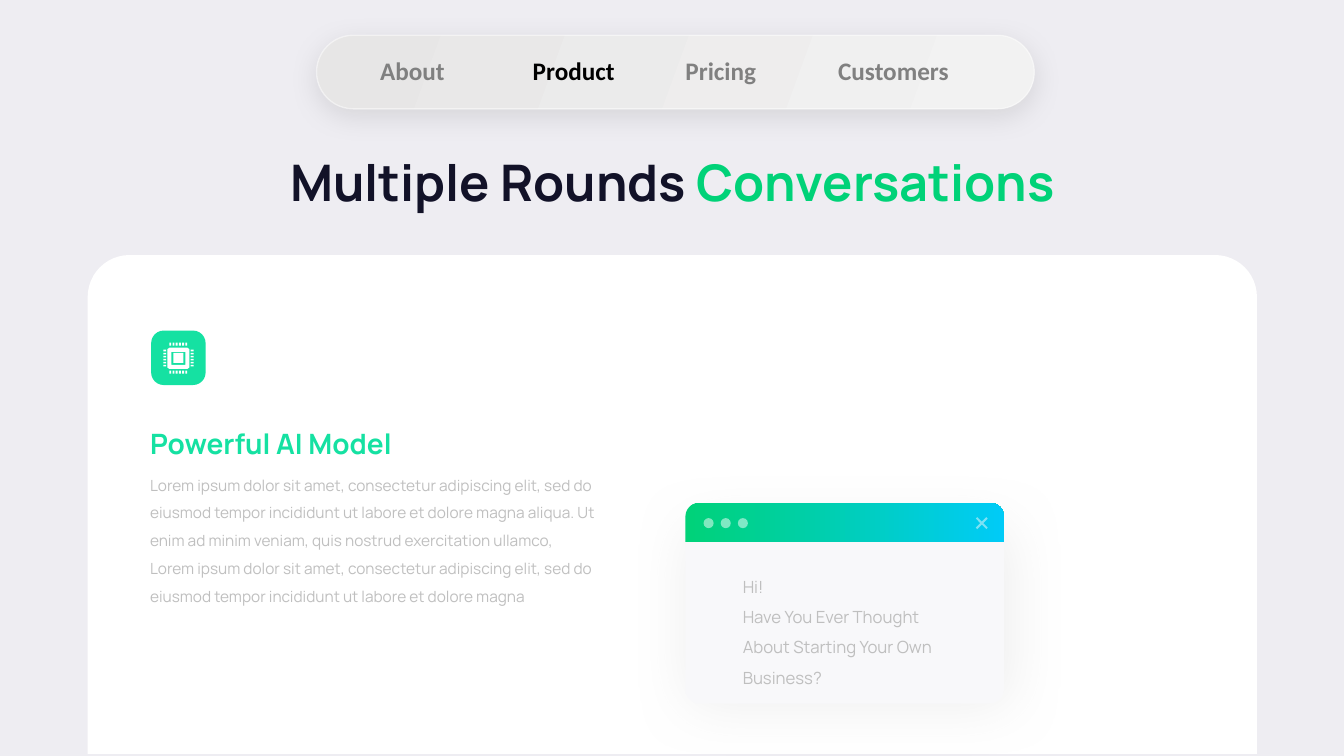
from lxml.etree import SubElement
from pptx import Presentation
from pptx.dml.color import RGBColor
from pptx.enum.shapes import MSO_SHAPE
from pptx.enum.text import MSO_ANCHOR, MSO_AUTO_SIZE, PP_ALIGN
from pptx.oxml.ns import qn
from pptx.util import Inches, Pt

COLS, ROWS = 133.33, 75
BODY, HEAD = "Manrope", "Calibri"
GREEN, MINT, CYAN = "00D278", "15E1A2", "00CBF7"
WHITE, GREY, NAVY = "FFFFFF", "BFBFBF", "121228"
NO_GRID = "{2D5ABB26-0587-4C30-8999-92F81FD0307C}"


def rgb(value):
    """Turn a hex string into a colour."""
    return RGBColor.from_string(value)


def fade(element, percent):
    """Set the opacity of every plain colour inside an element."""
    for clr in element.iter(qn("a:srgbClr")):
        SubElement(clr, qn("a:alpha"), val=str(percent * 1000))


class Deck:
    """Hold the grid, the current slide and the shapes being filled."""

    def __init__(self):
        """Open a presentation with one title-only slide."""
        self.prs = Presentation()
        self.prs.slide_width, self.prs.slide_height = Inches(13.333), Inches(7.5)
        self.s = self.prs.slides.add_slide(self.prs.slide_layouts[5])
        self.shapes = self.s.shapes

    def x(self, cols):
        """Convert grid columns to a length."""
        return round(self.prs.slide_width * cols / COLS)

    def y(self, rows):
        """Convert grid rows to a length."""
        return round(self.prs.slide_height * rows / ROWS)

    def box(self, left, top, width, height):
        """Convert a grid box to lengths."""
        return self.x(left), self.y(top), self.x(width), self.y(height)

    def background(self, color):
        """Fill the slide background."""
        fill = self.s.background.fill
        fill.solid()
        fill.fore_color.rgb = rgb(color)

    def group(self):
        """Send the following elements to a new group."""
        self.shapes = self.s.shapes.add_group_shape().shapes

    def ungroup(self):
        """Send the following elements to the slide."""
        self.shapes = self.s.shapes

    def paint(self, sp, colors, angle=0):
        """Give a shape a plain or gradient fill, no line and no shadow."""
        sp.shadow.inherit = False
        sp.line.fill.background()
        if len(colors) == 1:
            sp.fill.solid()
            sp.fill.fore_color.rgb = rgb(colors[0])
        else:
            sp.fill.gradient()
            sp.fill.gradient_angle = angle
            for stop, color in zip(sp.fill.gradient_stops, colors):
                stop.color.rgb = rgb(color)

    def shape(self, kind, at, *colors, adj=(), angle=0, opacity=None):
        """Add a preset shape."""
        sp = self.shapes.add_shape(kind, *self.box(*at))
        for i, value in enumerate(adj):
            sp.adjustments[i] = value
        self.paint(sp, colors, angle)
        if opacity:
            fade(sp._element.spPr, opacity)
        return sp

    def outline(self, sp, color, width, opacity):
        """Add a translucent line around a shape."""
        sp.line.color.rgb = rgb(color)
        sp.line.width = Pt(width)
        fade(sp._element.spPr.find(qn("a:ln")), opacity)

    def shadow(self, sp, color, opacity, blur, dist, angle):
        """Add a soft outer shadow to a shape."""
        effects = sp._element.spPr.find(qn("a:effectLst"))
        outer = SubElement(effects, qn("a:outerShdw"), blurRad=str(Pt(blur)),
                           dist=str(Pt(dist)), dir=str(angle * 60000),
                           algn="ctr", rotWithShape="0")
        SubElement(outer, qn("a:srgbClr"), val=color)
        fade(outer, opacity)

    def freeform(self, outlines, color):
        """Add one shape made of several closed outlines."""
        paths = [[(self.x(c), self.y(r)) for c, r in o] for o in outlines]
        builder = self.shapes.build_freeform(*paths[0][0], scale=1.0)
        for i, points in enumerate(paths):
            if i:
                builder.move_to(*points[0])
            builder.add_line_segments(points[1:], close=True)
        self.paint(builder.convert_to_shape(), [color])

    def style(self, p, font, size, color=None, bold=False):
        """Format the font of a paragraph."""
        p.font.name, p.font.size, p.font.bold = font, Pt(size), bold
        if color:
            p.font.color.rgb = rgb(color)

    def text(self, at, lines, size, color, bold=False, spacing=1.0):
        """Add a text box with one paragraph per line."""
        tf = self.shapes.add_textbox(*self.box(*at)).text_frame
        tf.word_wrap = True
        tf.auto_size = MSO_AUTO_SIZE.SHAPE_TO_FIT_TEXT
        for i, line in enumerate(lines):
            p = tf.add_paragraph() if i else tf.paragraphs[0]
            p.text, p.line_spacing = line, spacing
            self.style(p, BODY, size, color, bold)

    def title(self, at, runs, size):
        """Place the title and colour each of its runs."""
        sp = self.s.shapes.title
        sp.left, sp.top, sp.width, sp.height = self.box(*at)
        tf = sp.text_frame
        tf.word_wrap, tf.auto_size = True, MSO_AUTO_SIZE.NONE
        tf.vertical_anchor = MSO_ANCHOR.TOP
        p = tf.paragraphs[0]
        p.alignment, p.line_spacing = PP_ALIGN.CENTER, 1.0
        self.style(p, BODY, size, bold=True)
        for text, color in runs:
            r = p.add_run()
            r.text, r.font.color.rgb = text, rgb(color)

    def menu(self, at, items, active):
        """Add a one-row table of menu items."""
        table = self.shapes.add_table(1, len(items), *self.box(*at)).table
        table.first_row = table.horz_banding = False
        table._tbl.tblPr.find(qn("a:tableStyleId")).text = NO_GRID
        for cell, item in zip(table.rows[0].cells, items):
            cell.fill.background()
            cell.text = item
            color = "000000" if item == active else "808080"
            self.style(cell.text_frame.paragraphs[0], HEAD, 18, color, True)


def rect(left, top, width, height):
    """List the corners of a rectangle."""
    right, bottom = left + width, top + height
    return [(left, top), (right, top), (right, bottom), (left, bottom)]


def chip():
    """List the outlines of a processor with six pins on each side."""
    pins = [rect(16.8 + 0.32 * i, top, 0.18, 0.28)
            for i in range(6) for top in (34, 36.78)]
    pins += [rect(left, 34.7 + 0.3 * i, 0.28, 0.16)
             for i in range(6) for left in (16.2, 18.92)]
    case = [(16.8, 34.5), (18.6, 34.5), (18.8, 34.65), (18.8, 36.45),
            (18.6, 36.6), (16.8, 36.6), (16.6, 36.45), (16.6, 34.65)]
    return pins + [case, rect(17, 34.9, 1.4, 1.3)[::-1], rect(17.2, 35, 1, 1)]


def main():
    """Build the slide."""
    d = Deck()
    d.background("EEEDF2")
    d.title((24.2, 14.5, 85, 7.1),
            [("Multiple Rounds ", NAVY), ("Conversations", GREEN)], 36)
    d.shape(MSO_SHAPE.ROUND_2_SAME_RECTANGLE, (8.7, 25.3, 116, 49.5), WHITE,
            adj=(0.084, 0))

    d.group()
    d.shape(MSO_SHAPE.ROUNDED_RECTANGLE, (15, 32.8, 5.4, 5.4), MINT, adj=(0.23,))
    d.freeform(chip(), WHITE)
    d.ungroup()
    lorem = "Lorem ipsum dolor sit amet, consectetur adipiscing elit, sed do " \
            "eiusmod tempor incididunt ut labore et dolore magna"
    d.text((13.9, 41.8, 34.8, 4.4), ["Powerful AI Model"], 20, MINT, bold=True)
    d.text((13.9, 45.8, 46.3, 17.4),
           [f"{lorem} aliqua. Ut enim ad minim veniam, quis nostrud "
            f"exercitation ullamco, {lorem}"], 11, GREY, spacing=1.5)

    d.group()
    window = d.shape(MSO_SHAPE.ROUNDED_RECTANGLE, (68, 52.4, 31.6, 17.4),
                     "F8F8FA", adj=(0.08,))
    d.shadow(window, GREY, 28, 41, 3, 0)
    d.shape(MSO_SHAPE.ROUND_2_SAME_RECTANGLE, (68, 49.9, 31.6, 3.9), GREEN, CYAN,
            adj=(0.34, 0))
    for i in range(3):
        d.shape(MSO_SHAPE.OVAL, (69.8 + 1.7 * i, 51.4, 1, 1), WHITE, opacity=50)
    d.shape(MSO_SHAPE.MATH_MULTIPLY, (96.4, 50.9, 2, 2), "F9F8FA", adj=(0.1,),
            opacity=50)
    d.text((72.7, 55.7, 22.1, 12.8),
           ["Hi!", "Have You Ever Thought About Starting Your Own Business?"],
           12, GREY, spacing=1.5)
    d.ungroup()

    bar = d.shape(MSO_SHAPE.ROUNDED_RECTANGLE, (31.4, 3.5, 71.2, 7.3), "E7E6E6",
                  "F2F2F2", adj=(0.5,), angle=340)
    d.outline(bar, WHITE, 1, 50)
    d.shadow(bar, "000000", 10, 20, 5, 90)
    d.menu((36.7, 5.1, 60.6, 4.1), ["About", "Product", "Pricing", "Customers"],
           "Product")
    d.prs.save("out.pptx")


if __name__ == "__main__":
    main()
